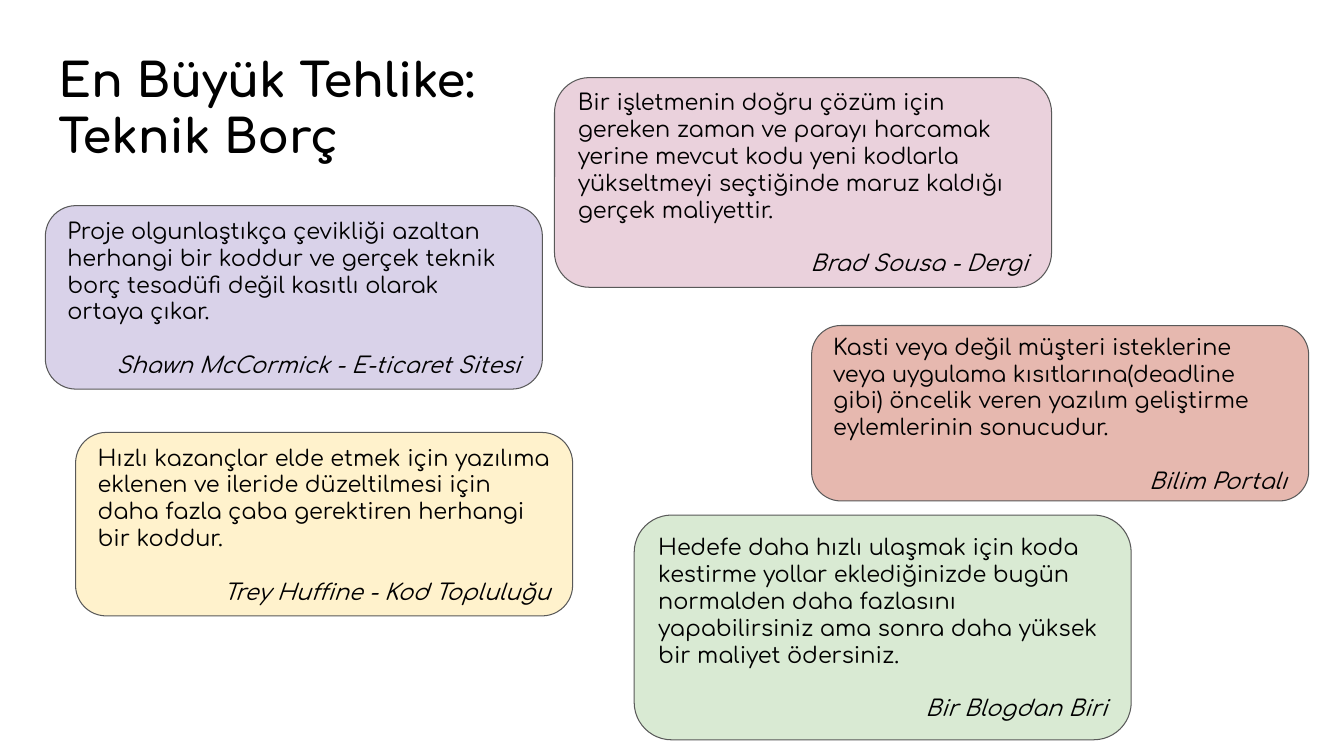
from pptx import Presentation
from pptx import util as u
from pptx.dml.color import RGBColor
from pptx.enum import shapes, text

BLACK = RGBColor(0x00, 0x00, 0x00)
OUTLINE = RGBColor(0x59, 0x59, 0x59)
LAVENDER = RGBColor(0xD9, 0xD2, 0xE9)
PINK = RGBColor(0xEA, 0xD1, 0xDC)
CREAM = RGBColor(0xFF, 0xF2, 0xCC)
SALMON = RGBColor(0xE6, 0xB8, 0xAF)
GREEN = RGBColor(0xD9, 0xEA, 0xD3)

FONT = "Comfortaa"
SLIDE_WIDTH, SLIDE_HEIGHT = 13.33, 7.5
CARD_WIDTH = 4.93
INSET = 0.13
QUOTE_SIZE = 16
AUTHOR_GAP = 19  # one line of quote text

TITLE = ["En Büyük Tehlike:", "Teknik Borç"]
TITLE_BOX = (0.45, 0.38, 12.42, 1.23)

# left, top, height, fill, quote, author
QUOTES = [
    (0.45, 2.04, 1.82, LAVENDER,
     "Proje olgunlaştıkça çevikliği azaltan herhangi bir koddur ve gerçek "
     "teknik borç tesadüfi değil kasıtlı olarak ortaya çıkar.",
     "Shawn McCormick - E-ticaret Sitesi"),
    (5.5, 0.77, 2.08, PINK,
     "Bir işletmenin doğru çözüm için gereken zaman ve parayı harcamak yerine "
     "mevcut kodu yeni kodlarla yükseltmeyi seçtiğinde maruz kaldığı gerçek "
     "maliyettir.",
     "Brad Sousa - Dergi"),
    (0.75, 4.29, 1.82, CREAM,
     "Hızlı kazançlar elde etmek için yazılıma eklenen ve ileride "
     "düzeltilmesi için daha fazla çaba gerektiren herhangi bir koddur.",
     "Trey Huffine - Kod Topluluğu"),
    (8.05, 3.23, 1.74, SALMON,
     "Kasti veya değil müşteri isteklerine veya uygulama "
     "kısıtlarına(deadline gibi) öncelik veren yazılım geliştirme "
     "eylemlerinin sonucudur.",
     "Bilim Portalı"),
    (6.29, 5.11, 2.23, GREEN,
     "Hedefe daha hızlı ulaşmak için koda kestirme yollar eklediğinizde bugün "
     "normalden daha fazlasını yapabilirsiniz ama sonra daha yüksek bir "
     "maliyet ödersiniz.",
     "Bir Blogdan Biri"),
]


def write(frame, lines, size, anchor):
    """Fill the frame with one left-aligned paragraph per line."""
    frame.word_wrap = True
    frame.vertical_anchor = anchor
    frame.margin_left = frame.margin_right = u.Inches(INSET)
    frame.margin_top = frame.margin_bottom = u.Inches(INSET)
    frame.text = "\n".join(lines)
    for paragraph in frame.paragraphs:
        paragraph.alignment = text.PP_ALIGN.LEFT
        paragraph.font.name = FONT
        paragraph.font.size = u.Pt(size)
        paragraph.font.color.rgb = BLACK
    return frame.paragraphs


def add_title(slide):
    box = slide.shapes.add_textbox(*map(u.Inches, TITLE_BOX))
    for paragraph in write(box.text_frame, TITLE, 33.3, text.MSO_ANCHOR.TOP):
        paragraph.font.bold = True


def add_quote(slide, left, top, height, fill, quote, author):
    card = slide.shapes.add_shape(
        shapes.MSO_SHAPE.ROUNDED_RECTANGLE,
        *map(u.Inches, (left, top, CARD_WIDTH, height)))
    card.shadow.inherit = False
    card.fill.solid()
    card.fill.fore_color.rgb = fill
    card.line.color.rgb = OUTLINE
    card.line.width = u.Pt(0.75)
    _, credit = write(card.text_frame, [quote, author], QUOTE_SIZE,
                      text.MSO_ANCHOR.MIDDLE)
    credit.alignment = text.PP_ALIGN.RIGHT
    credit.space_before = u.Pt(AUTHOR_GAP)
    credit.font.italic = True


def main():
    deck = Presentation()
    deck.slide_width = u.Inches(SLIDE_WIDTH)
    deck.slide_height = u.Inches(SLIDE_HEIGHT)
    slide = deck.slides.add_slide(deck.slide_layouts[6])
    add_title(slide)
    for entry in QUOTES:
        add_quote(slide, *entry)
    deck.save("out.pptx")


if __name__ == "__main__":
    main()
